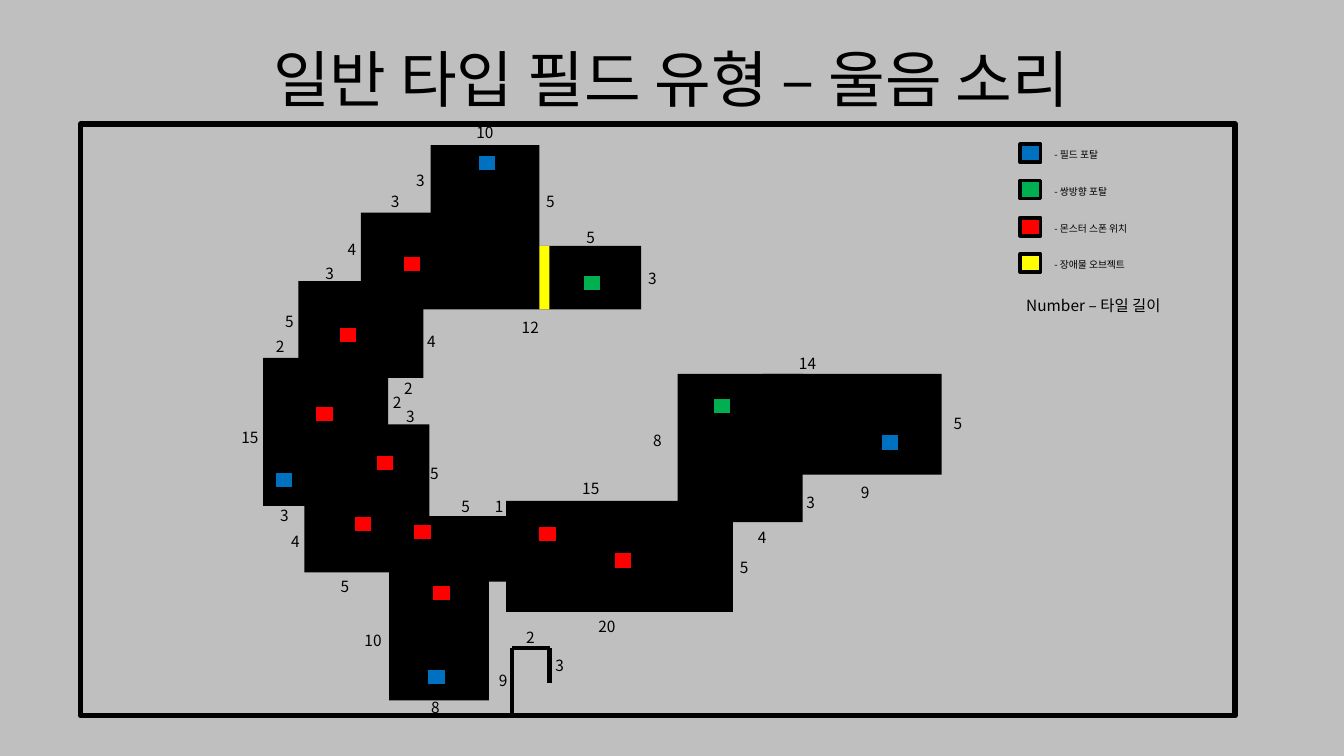
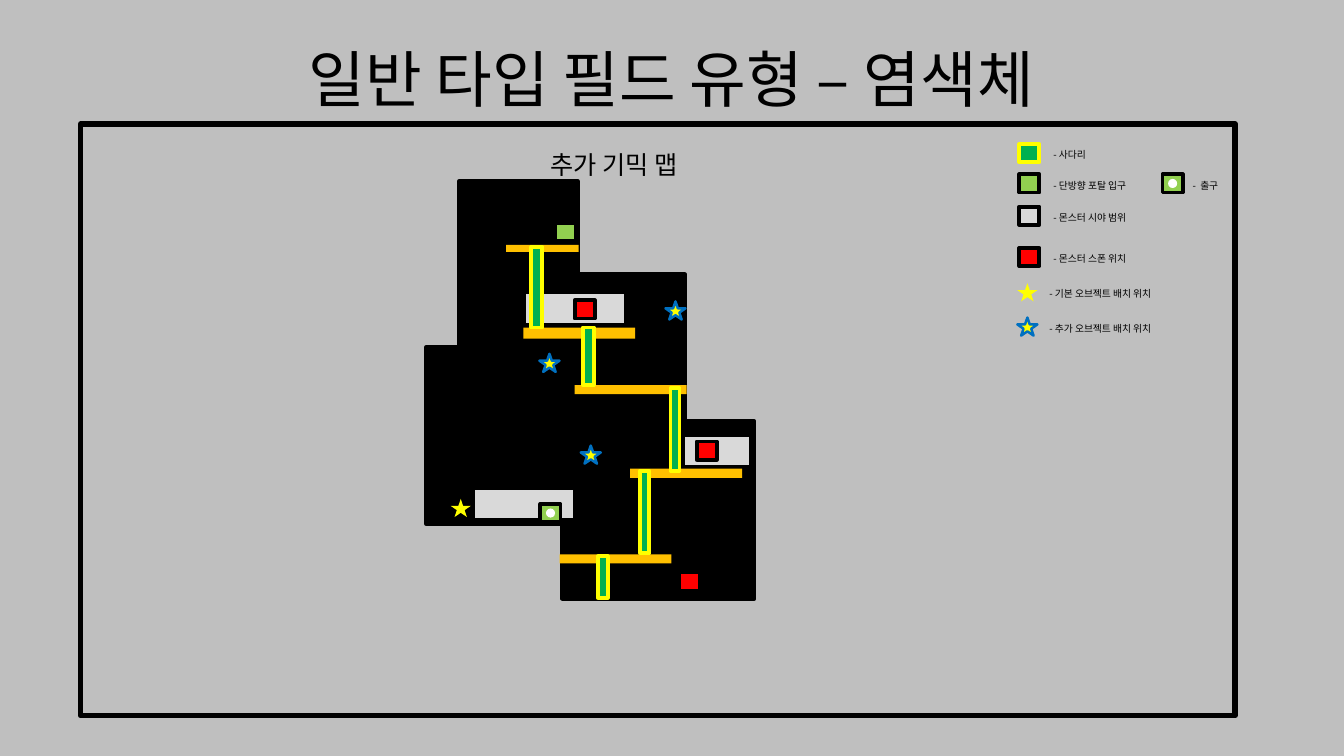
from lxml import etree
from pptx import Presentation
from pptx.dml.color import RGBColor
from pptx.enum import shapes, text
from pptx.oxml.ns import qn
from pptx.util import Inches, Pt

FONT = "Noto Sans CJK KR"
C = dict(bg="BFBFBF", black="000000", white="FFFFFF", gray="D9D9D9", blue="0070C0",
         green="00B050", lime="92D050", red="FF0000", yellow="FFFF00", orange="FFC000")
RECT = shapes.MSO_SHAPE.RECTANGLE
STAR = shapes.MSO_SHAPE.STAR_5_POINT
OVAL = shapes.MSO_SHAPE.OVAL
CENTER, LEFT = text.PP_ALIGN.CENTER, text.PP_ALIGN.LEFT
MARK_W, MARK_H = 0.2, 0.18
HOLE = 0.09

# Marker kinds: shape, fill, line colour, line width
MARKS = {
    "field": (RECT, "blue", "black", 2.75),
    "two_way": (RECT, "green", "black", 2.75),
    "spawn": (RECT, "red", "black", 2.75),
    "obstacle": (RECT, "yellow", "black", 2.75),
    "ladder": (RECT, "green", "yellow", 2.75),
    "entrance": (RECT, "lime", "black", 2.75),
    "exit": (RECT, "lime", "black", 2.75),
    "sight": (RECT, "gray", "black", 2.75),
    "basic": (STAR, "yellow", None, 0),
    "extra": (STAR, "yellow", "blue", 1.75),
}

# Slide 1: the crying sound field
CRY_TITLE = "일반 타입 필드 유형 – 울음 소리"
CRY_LEGEND = [  # kind, label, left, top
    ("field", "- 필드 포탈", 10.12, 1.43),
    ("two_way", "- 쌍방향 포탈", 10.12, 1.79),
    ("spawn", "- 몬스터 스폰 위치", 10.12, 2.16),
    ("obstacle", "- 장애물 오브젝트", 10.12, 2.52),
]
UNIT_NOTE = "Number – 타일 길이"
ROOMS = [  # left, top, width, height
    (4.27, 1.44, 1.08, 1.01), (3.58, 2.11, 1.24, 0.96), (4.82, 2.44, 1.54, 0.63),
    (2.96, 2.79, 1.24, 0.96), (2.61, 3.55, 1.24, 1.47), (3.86, 5.48, 0.99, 1.47),
    (5.02, 4.97, 2.25, 1.1), (6.72, 3.71, 1.24, 1.47), (7.57, 3.71, 1.77, 1),
    (3.02, 4.21, 1.24, 1.47), (4.11, 5.12, 1.24, 0.65),
]
BARRIER = (5.35, 2.44, 0.1, 0.63)
HOOK = [(5.08, 7.09), (5.08, 6.43), (5.45, 6.43), (5.45, 6.78)]
LENGTHS = [  # tiles, centre x, top
    (10, 4.81, 1.17), (5, 5.46, 1.86), (3, 6.47, 2.62), (3, 4.17, 1.65), (3, 3.92, 1.86),
    (4, 3.49, 2.33), (3, 3.27, 2.57), (5, 2.87, 3.05), (2, 2.78, 3.3), (15, 2.48, 4.2),
    (3, 2.82, 4.97), (4, 2.93, 5.23), (5, 3.42, 5.68), (10, 3.7, 6.21), (8, 4.32, 6.88),
    (12, 5.26, 3.11), (4, 4.28, 3.25), (5, 5.86, 2.21), (2, 4.05, 3.71), (2, 3.94, 3.85),
    (3, 4.07, 3.99), (5, 4.31, 4.56), (5, 4.62, 4.88), (1, 4.95, 4.88), (9, 4.99, 6.61),
    (2, 5.26, 6.18), (3, 5.55, 6.46), (20, 6.02, 6.07), (15, 5.86, 4.7), (8, 6.52, 4.23),
    (5, 7.38, 5.49), (3, 8.04, 4.84), (9, 8.58, 4.74), (4, 7.56, 5.19), (14, 8.01, 3.46),
    (5, 9.5, 4.06),
]
CRY_MARKS = {
    "field": [(4.73, 1.53), (2.72, 4.67), (4.23, 6.63), (8.73, 4.3)],
    "two_way": [(5.77, 2.72), (7.06, 3.94)],
    "spawn": [(3.99, 2.53), (3.12, 4.02), (4.28, 5.79), (6.08, 5.47), (3.5, 5.11),
              (3.72, 4.5), (3.35, 3.23), (4.09, 5.19), (5.33, 5.21)],
}

# Slide 2: the chromosome field
GENE_TITLE = "일반 타입 필드 유형 – 염색체"
MAP_NAME = "추가 기믹 맵"
GENE_LEGEND = [
    ("ladder", "- 사다리", 10.11, 1.43),
    ("entrance", "- 단방향 포탈 입구", 10.11, 1.73),
    ("exit", "-  출구", 11.53, 1.73),
    ("sight", "- 몬스터 시야 범위", 10.11, 2.05),
    ("spawn", "- 몬스터 스폰 위치", 10.11, 2.46),
    ("basic", "- 기본 오브젝트 배치 위치", 10.09, 2.81),
    ("extra", "- 추가 오브젝트 배치 위치", 10.09, 3.15),
]
OUTLINE = [(4.55, 1.8), (5.73, 1.8), (5.73, 2.72), (6.79, 2.72), (6.79, 4.18), (7.48, 4.18),
           (7.48, 5.94), (5.58, 5.94), (5.58, 5.2), (4.23, 5.2), (4.23, 3.44), (4.55, 3.44)]
SIGHTS = [(5.2, 2.9, 1.01, 0.32), (4.69, 4.84, 1.01, 0.32), (6.77, 4.32, 0.68, 0.31)]
FLOORS = [(5.02, 2.43, 0.72, 0.07), (5.7, 3.82, 1.11, 0.09), (5.19, 3.25, 1.11, 0.11),
          (6.25, 4.65, 1.11, 0.09), (5.55, 5.5, 1.11, 0.09)]
LADDERS = [(5.27, 2.45, 0.11, 0.8), (5.78, 3.25, 0.11, 0.57), (6.65, 3.85, 0.09, 0.82),
           (5.93, 5.52, 0.1, 0.41), (6.35, 4.67, 0.09, 0.82)]
GENE_MARKS = {
    "entrance": [(5.51, 2.21)],
    "exit": [(5.36, 5)],
    "basic": [(4.47, 4.95)],
    "spawn": [(5.7, 2.98), (6.91, 4.38), (6.74, 5.68)],
    "extra": [(6.6, 2.99), (5.76, 4.42), (5.35, 3.51)],
}


def rgb(name):
    return RGBColor.from_string(C[name])


def paint(sp, fill=None, line=None, width=0):
    sp.shadow.inherit = False
    if fill:
        sp.fill.solid()
        sp.fill.fore_color.rgb = rgb(fill)
    else:
        sp.fill.background()
    if line:
        sp.line.color.rgb = rgb(line)
        sp.line.width = Pt(width)
    else:
        sp.line.fill.background()


def shape(s, kind, box, fill=None, line=None, width=0):
    sp = s.shapes.add_shape(kind, *map(Inches, box))
    paint(sp, fill, line, width)


def label(s, words, box, size, align=LEFT, side=0.1):
    tf = s.shapes.add_textbox(*map(Inches, box)).text_frame
    tf.word_wrap = True
    tf.margin_left = tf.margin_right = Inches(side)
    p = tf.paragraphs[0]
    p.text = words
    p.alignment = align
    f = p.runs[0].font
    f.name, f.size, f.color.rgb = FONT, Pt(size), rgb("black")
    etree.SubElement(f._element, qn("a:ea")).set("typeface", FONT)
    return tf


def mark(s, name, x, y):
    kind, *style = MARKS[name]
    shape(s, kind, (x, y, MARK_W, MARK_H), *style)
    if name == "exit":
        shape(s, OVAL, (x + (MARK_W - HOLE) / 2, y + (MARK_H - HOLE) / 2, HOLE, HOLE), "white")


def marks(s, groups):
    for name, spots in groups.items():
        for x, y in spots:
            mark(s, name, x, y)


def line(s, start, end):
    c = s.shapes.add_connector(shapes.MSO_CONNECTOR.STRAIGHT, *map(Inches, start + end))
    c.line.color.rgb = rgb("black")
    c.line.width = Pt(3)
    etree.SubElement(c._element.spPr, qn("a:effectLst"))


def field_slide(prs, title, legend):
    """Background, title, frame and legend that both slides share."""
    s = prs.slides.add_slide(prs.slide_layouts[6])
    s.background.fill.solid()
    s.background.fill.fore_color.rgb = rgb("bg")
    tf = label(s, title, (0.29, 0.2, 12.74, 1.24), 44, CENTER)
    tf.vertical_anchor = text.MSO_ANCHOR.MIDDLE
    tf.paragraphs[0].line_spacing = 0.9
    shape(s, RECT, (0.8, 1.23, 11.45, 5.87), None, "black", 4)
    for name, words, x, y in legend:
        mark(s, name, x, y)
        gap = 0.2 if name == "exit" else 0.22 if MARKS[name][0] == STAR else 0.24
        label(s, words, (x + gap, y, 1.6, 0.22), 7)
    return s


def cry_slide(prs):
    s = field_slide(prs, CRY_TITLE, CRY_LEGEND)
    for box in ROOMS:
        shape(s, RECT, box, "black")
    label(s, UNIT_NOTE, (10.08, 2.89, 1.8, 0.29), 11)
    for tiles, cx, y in LENGTHS:
        label(s, str(tiles), (cx - 0.18, y, 0.36, 0.29), 11, CENTER, 0)
    for start, end in zip(HOOK, HOOK[1:]):
        line(s, start, end)
    shape(s, RECT, BARRIER, "yellow")
    marks(s, CRY_MARKS)


def gene_slide(prs):
    s = field_slide(prs, GENE_TITLE, GENE_LEGEND)
    points = [(Inches(x), Inches(y)) for x, y in OUTLINE]
    fb = s.shapes.build_freeform(*points[0])
    fb.add_line_segments(points[1:], close=True)
    paint(fb.convert_to_shape(), "black", "black", 3)
    for box in SIGHTS:
        shape(s, RECT, box, *MARKS["sight"][1:])
    for box in FLOORS:
        shape(s, RECT, box, "orange")
    for box in LADDERS:
        shape(s, RECT, box, *MARKS["ladder"][1:])
    marks(s, GENE_MARKS)
    label(s, MAP_NAME, (4.37, 1.43, 3.44, 0.4), 18, CENTER)


def main():
    prs = Presentation()
    prs.slide_width, prs.slide_height = Inches(13.33), Inches(7.5)
    cry_slide(prs)
    gene_slide(prs)
    prs.save("out.pptx")


if __name__ == "__main__":
    main()
